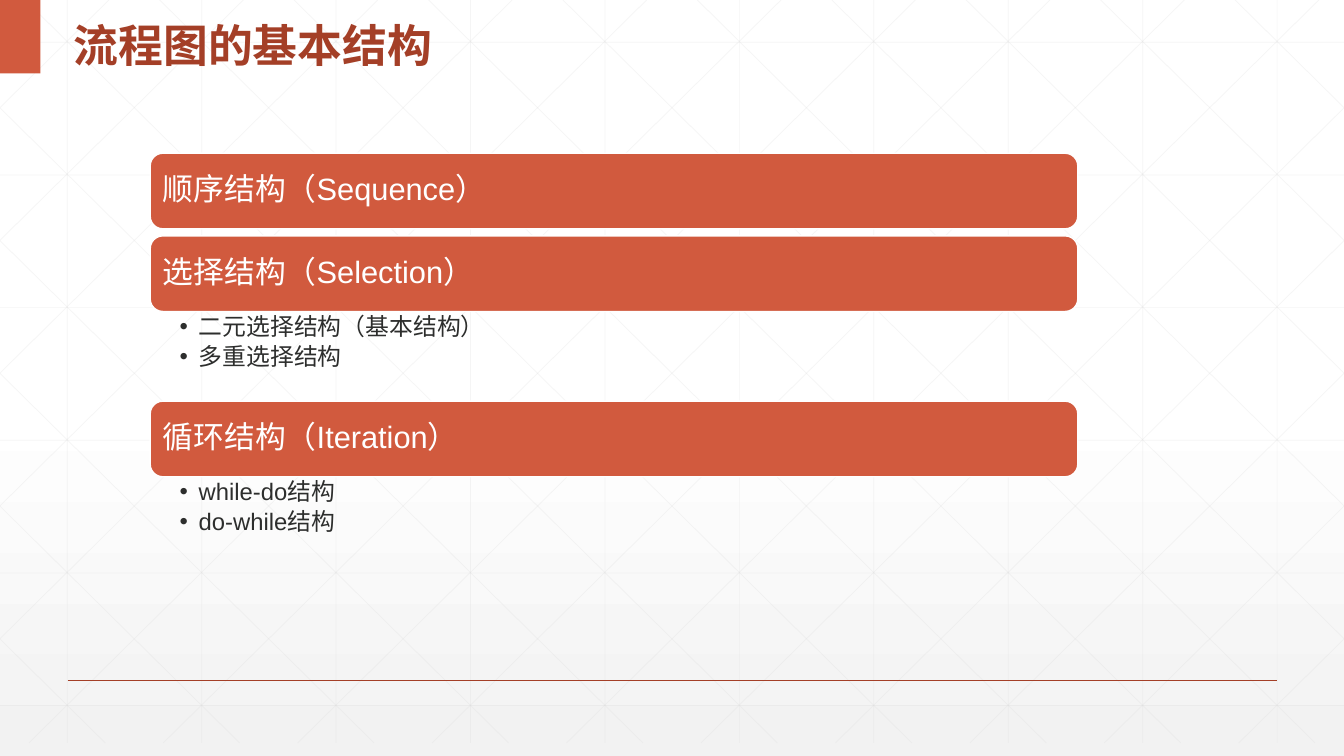
from dataclasses import dataclass

from lxml import etree
from pptx import Presentation
from pptx.dml.color import RGBColor
from pptx.enum.shapes import MSO_CONNECTOR, MSO_SHAPE
from pptx.enum.text import MSO_ANCHOR, MSO_AUTO_SIZE, PP_ALIGN
from pptx.oxml.ns import qn
from pptx.shapes.autoshape import Shape
from pptx.shapes.connector import Connector
from pptx.slide import Slide
from pptx.text.text import TextFrame, _Paragraph
from pptx.util import Inches, Pt

STRAIGHT = MSO_CONNECTOR.STRAIGHT
RECTANGLE = MSO_SHAPE.RECTANGLE
ROUNDED = MSO_SHAPE.ROUNDED_RECTANGLE
MIDDLE, TOP = MSO_ANCHOR.MIDDLE, MSO_ANCHOR.TOP
NO_AUTOFIT = MSO_AUTO_SIZE.NONE
LEFT = PP_ALIGN.LEFT


@dataclass(frozen=True)
class Theme:
    accent: str = "D15A3E"
    dark_accent: str = "A43F27"
    white: str = "FFFFFF"
    shade: str = "F2F2F2"
    grid: str = "D9D9D9"
    ink: str = "2D2E2D"
    latin_font: str = "Arial"
    chinese_font: str = "Noto Sans CJK SC"
    title_size: int = 32
    bar_size: int = 22
    list_size: int = 17


@dataclass(frozen=True)
class Structure:
    name: str
    variants: tuple[str, ...] = ()


THEME = Theme()
SLIDE_WIDTH, SLIDE_HEIGHT = 13.33, 7.5
GRID_HEIGHT, GRID_STEP, ROW_STEP = 7.37, 4 / 3, 1.316
DIAGONAL_RUN = 7.46
BAR_LEFT, BAR_TOP, BAR_WIDTH, BAR_HEIGHT = 1.49, 1.52, 9.2, 0.75
BAR_GAP, LIST_HEIGHT = 0.07, 0.89
TWO_CONTENT_LAYOUT = 3

STRUCTURES = (
    Structure("顺序结构（Sequence）"),
    Structure("选择结构（Selection）", ("二元选择结构（基本结构）", "多重选择结构")),
    Structure("循环结构（Iteration）", ("while-do结构", "do-while结构")),
)


def color(value: str) -> RGBColor:
    return RGBColor.from_string(value)


def add_line(slide: Slide, start: tuple[float, float], end: tuple[float, float],
             line_color: str, width: float) -> Connector:
    points = [Inches(length) for length in (*start, *end)]
    connector = slide.shapes.add_connector(STRAIGHT, *points)
    connector.line.color.rgb = color(line_color)
    connector.line.width = Pt(width)
    etree.SubElement(connector._element.spPr, qn("a:effectLst"))
    return connector


def add_grid_line(slide: Slide, start: tuple[float, float], end: tuple[float, float]) -> None:
    connector = add_line(slide, start, end, THEME.grid, 0.5)
    for tint in connector._element.iter(qn("a:srgbClr")):
        etree.SubElement(tint, qn("a:alpha"), val="25000")


def add_grid(slide: Slide) -> None:
    for column in range(10):
        x = GRID_STEP * (column + 0.5)
        add_grid_line(slide, (x, 0), (x, GRID_HEIGHT))
    for row in range(6):
        y = 0.42 + ROW_STEP * row
        add_grid_line(slide, (0, y), (SLIDE_WIDTH, y))
    slope = GRID_HEIGHT / DIAGONAL_RUN
    for index in range(-5, 10):
        origin = 0.25 + GRID_STEP * index
        left, right = max(0, origin), min(SLIDE_WIDTH, origin + DIAGONAL_RUN)
        upper, lower = (left - origin) * slope, (right - origin) * slope
        add_grid_line(slide, (left, upper), (right, lower))
        add_grid_line(slide, (SLIDE_WIDTH - left, upper), (SLIDE_WIDTH - right, lower))


def set_background(slide: Slide) -> None:
    fill = slide.background.fill
    fill.gradient()
    fill.gradient_angle = 270
    for stop, position, tint in zip(fill.gradient_stops, (0.53, 1), (THEME.white, THEME.shade)):
        stop.position = position
        stop.color.rgb = color(tint)


def place(shape: Shape, left: float, top: float, width: float, height: float) -> None:
    shape.left, shape.top = Inches(left), Inches(top)
    shape.width, shape.height = Inches(width), Inches(height)


def bring_to_front(shape: Shape) -> None:
    shape.element.getparent().append(shape.element)


def format_frame(frame: TextFrame, anchor: MSO_ANCHOR,
                 left: float, top: float, right: float, bottom: float) -> None:
    frame.word_wrap = True
    frame.auto_size = NO_AUTOFIT
    frame.vertical_anchor = anchor
    frame.margin_left, frame.margin_right = Inches(left), Inches(right)
    frame.margin_top, frame.margin_bottom = Inches(top), Inches(bottom)


def write(paragraph: _Paragraph, text: str, size: int, tint: str, font_name: str,
          line_spacing: float, bold: bool = False) -> None:
    paragraph.alignment = LEFT
    paragraph.line_spacing = line_spacing
    paragraph.space_before = Pt(0)
    run = paragraph.add_run()
    run.text = text
    run.font.size = Pt(size)
    run.font.bold = bold
    run.font.color.rgb = color(tint)
    run.font.name = font_name
    etree.SubElement(run._r.get_or_add_rPr(), qn("a:ea"), typeface=THEME.chinese_font)


def add_bullet(paragraph: _Paragraph) -> None:
    properties = paragraph._p.get_or_add_pPr()
    properties.set("marL", str(Inches(0.19)))
    properties.set("indent", str(-Inches(0.19)))
    etree.SubElement(properties, qn("a:buChar"), char="•")


def add_block(slide: Slide, shape_type: MSO_SHAPE, left: float, top: float,
              width: float, height: float) -> Shape:
    block = slide.shapes.add_shape(
        shape_type, Inches(left), Inches(top), Inches(width), Inches(height))
    block.shadow.inherit = False
    block.fill.solid()
    block.fill.fore_color.rgb = color(THEME.accent)
    block.line.fill.background()
    return block


def add_title(slide: Slide, text: str) -> None:
    title = slide.shapes.title
    place(title, 0.63, 0, 5.69, 0.73)
    format_frame(title.text_frame, MIDDLE, 0.1, 0.05, 0.1, 0.05)
    write(title.text_frame.paragraphs[0], text, THEME.title_size, THEME.dark_accent,
          THEME.chinese_font, 1.3, bold=True)
    bring_to_front(title)


def add_bar(slide: Slide, name: str, top: float) -> None:
    bar = add_block(slide, ROUNDED, BAR_LEFT, top, BAR_WIDTH, BAR_HEIGHT)
    bar.line.color.rgb = color(THEME.white)
    bar.line.width = Pt(1)
    format_frame(bar.text_frame, MIDDLE, 0.09, 0.09, 0.09, 0.09)
    write(bar.text_frame.paragraphs[0], name, THEME.bar_size, THEME.white,
          THEME.latin_font, 0.9)


def fill_list(body: Shape, variants: tuple[str, ...], top: float) -> None:
    place(body, BAR_LEFT, top, BAR_WIDTH, LIST_HEIGHT)
    frame = body.text_frame
    format_frame(frame, TOP, 0.29, 0.03, 0.17, 0.03)
    for index, variant in enumerate(variants):
        paragraph = frame.add_paragraph() if index else frame.paragraphs[0]
        paragraph.level = 1
        add_bullet(paragraph)
        write(paragraph, variant, THEME.list_size, THEME.ink, THEME.latin_font, 0.9)
        paragraph.space_after = Pt(3.4)
    bring_to_front(body)


def add_structures(slide: Slide) -> None:
    bodies = iter(list(slide.placeholders)[1:])
    top = BAR_TOP
    for structure in STRUCTURES:
        add_bar(slide, structure.name, top)
        top += BAR_HEIGHT
        if structure.variants:
            fill_list(next(bodies), structure.variants, top)
            top += LIST_HEIGHT
        else:
            top += BAR_GAP


def main() -> None:
    presentation = Presentation()
    presentation.slide_width = Inches(SLIDE_WIDTH)
    presentation.slide_height = Inches(SLIDE_HEIGHT)
    slide = presentation.slides.add_slide(presentation.slide_layouts[TWO_CONTENT_LAYOUT])
    set_background(slide)
    add_grid(slide)
    add_line(slide, (0.67, 6.75), (12.67, 6.75), THEME.dark_accent, 1)
    add_block(slide, RECTANGLE, 0, 0, 0.4, 0.73)
    add_title(slide, "流程图的基本结构")
    add_structures(slide)
    presentation.save("out.pptx")


if __name__ == "__main__":
    main()
